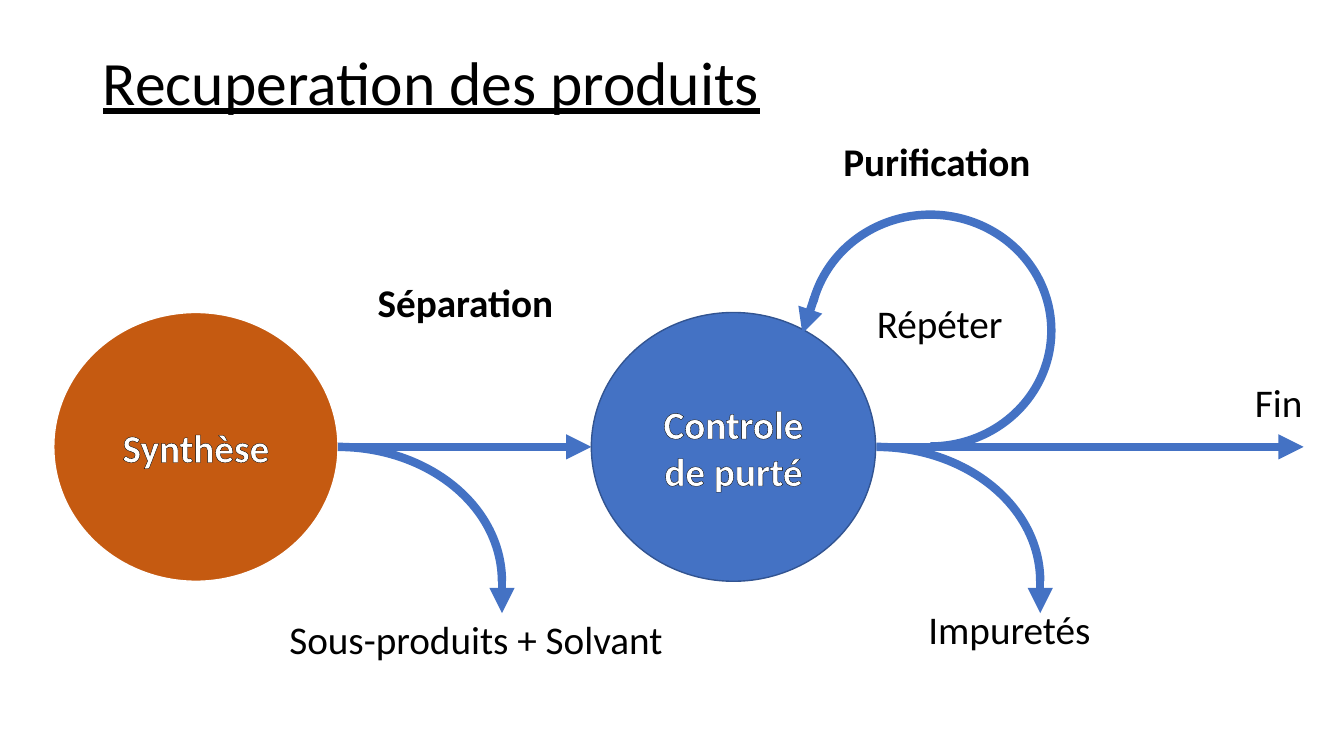
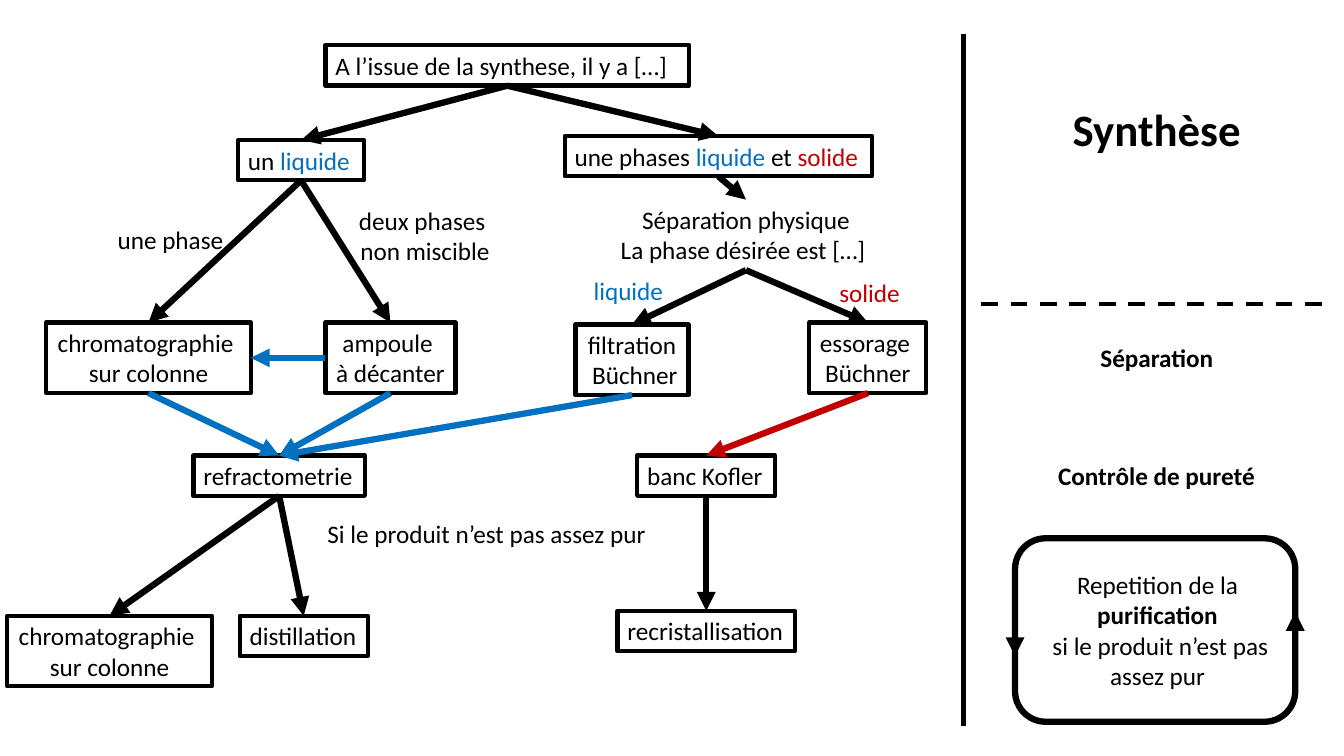
"""Build two slides on how the products of a synthesis are recovered."""
from dataclasses import dataclass

from lxml.etree import SubElement
from pptx import Presentation
from pptx.dml.color import RGBColor
from pptx.enum.dml import MSO_LINE
from pptx.enum.shapes import MSO_CONNECTOR, MSO_SHAPE
from pptx.enum.text import MSO_ANCHOR, MSO_AUTO_SIZE, PP_ALIGN
from pptx.oxml import parse_xml
from pptx.oxml.ns import nsdecls, qn
from pptx.util import Emu, Pt


@dataclass(frozen=True)
class Theme:
    font: str = "Calibri"
    black: str = "000000"
    white: str = "FFFFFF"
    blue: str = "4472C4"
    edge: str = "325491"
    rust: str = "C55A11"
    fluid: str = "0070C0"
    solid: str = "C00000"
    title: int = 44
    head: int = 32
    label: int = 28
    body: int = 18
    flow: float = 6
    link: float = 4.5
    frame: float = 3


T = Theme()
COLS, ROWS = 40, 22.5
CELL = 304800
TOP, LEFT, BASE, RIGHT = range(4)


def grid(*cells):
    return [Emu(round(n * CELL)) for n in cells]


def paint(line, color, width):
    line.color.rgb = RGBColor.from_string(color)
    line.width = Pt(width)


def write(shape, lines, size=T.body, color=T.black, bold=False, under=None,
          align=None, wrap=False, trim=None, fit=True):
    frame = shape.text_frame
    frame.word_wrap = wrap
    frame.auto_size = MSO_AUTO_SIZE.SHAPE_TO_FIT_TEXT if fit else MSO_AUTO_SIZE.NONE
    for i, line in enumerate(lines):
        para = frame.add_paragraph() if i else frame.paragraphs[0]
        para.alignment = align or (PP_ALIGN.CENTER if len(lines) > 1 else PP_ALIGN.LEFT)
        for part in [line] if isinstance(line, str) else line:
            words, style = (part, {}) if isinstance(part, str) else part
            run = para.add_run()
            run.text = words
            font = run.font
            font.name, font.size, font.underline = T.font, Pt(size), under
            font.bold = style.get("bold", bold)
            font.color.rgb = RGBColor.from_string(style.get("color", color))
            if trim:
                font._element.insert(0, parse_xml(
                    f'<a:ln w="9525" {nsdecls("a")}><a:solidFill>'
                    f'<a:srgbClr val="{trim}"/></a:solidFill></a:ln>'))


def label(slide, mid, top, width, *lines, rows=None, **style):
    size = style.get("size", T.body)
    high = 0.3 + 0.05 * size * (rows or len(lines))
    box = slide.shapes.add_textbox(*grid(mid - width / 2, top, width, high))
    write(box, lines, **style)
    return box


def node(slide, *args):
    box = label(slide, *args)
    paint(box.line, T.black, T.frame)
    return box


def form(slide, kind, area, line, width, fill=None):
    shape = slide.shapes.add_shape(kind, *grid(*area))
    shape.shadow.inherit = False
    if fill:
        shape.fill.solid()
        shape.fill.fore_color.rgb = RGBColor.from_string(fill)
    else:
        shape.fill.background()
    paint(shape.line, line, width)
    return shape


def rule(slide, ends, color=T.black, width=T.link, head=True, dash=None):
    line = slide.shapes.add_connector(MSO_CONNECTOR.STRAIGHT, *grid(*ends))
    SubElement(line._element.spPr, qn("a:effectLst"))
    paint(line.line, color, width)
    if dash:
        line.line.dash_style = dash
    if head:
        SubElement(line.line._get_or_add_ln(), qn("a:tailEnd"), type="triangle")
    return line


def link(slide, start, end, color=T.black, sides=(BASE, TOP)):
    line = rule(slide, (0, 0, 1, 1), color)
    line.begin_connect(start, sides[0])
    line.end_connect(end, sides[1])


def disc(slide, left, words, fill, edge):
    shape = form(slide, MSO_SHAPE.OVAL, (left, 9.3, 8.46, 8), edge, 1, fill)
    write(shape, [words], size=T.label, color=T.white, bold=True,
          align=PP_ALIGN.CENTER, wrap=True, trim=T.black, fit=False)
    shape.text_frame.vertical_anchor = MSO_ANCHOR.MIDDLE


def branch(slide, left, end, axis):
    start, drop = left + 4.88, left + 9.75
    form(slide, MSO_SHAPE.ARC, (left, axis, 9.75, 8), T.blue, T.flow)
    rule(slide, (start, axis, end, axis), T.blue, T.flow)
    rule(slide, (drop, axis + 3.75, drop, axis + 4.95), T.blue, T.flow)


def cycle(deck):
    slide = deck.slides.add_slide(deck.slide_layouts[5])
    title = slide.shapes.title
    title.left, title.top, title.width, title.height = grid(2.76, 1.2, 34.5, 2.67)
    write(title, ["Recuperation des produits"], size=T.title, under=True,
          wrap=True, fit=False)
    title.text_frame.vertical_anchor = MSO_ANCHOR.MIDDLE
    title.text_frame.paragraphs[0].line_spacing = 0.9

    disc(slide, 1.6, "Synthèse", T.rust, T.white)
    disc(slide, 17.6, "Controle de purté", T.blue, T.edge)
    for left, end in ((5.19, 17.6), (21.21, 38.8)):
        branch(slide, left, end, 13.3)
    loop = form(slide, MSO_SHAPE.ARC, (24.24, 6.24, 6.9, 7.2), T.blue, T.flow)
    loop.rotation = 90
    loop.adjustments[0] = 62.47
    rule(slide, (24.24, 8.85, 23.88, 9.93), T.blue, T.flow)

    for mid, top, width, words, bold in (
        (14.24, 18.15, 11.85, "Sous-produits + Solvant", False),
        (30.08, 17.88, 5.49, "Impuretés", False),
        (38.07, 11.1, 2.04, "Fin", False),
        (27.99, 8.76, 4.38, "Répéter", False),
        (13.9, 8.13, 5.91, "Séparation", True),
        (27.94, 3.93, 6.27, "Purification", True),
    ):
        label(slide, mid, top, width, words, size=T.label, bold=bold)


def tree(slide):
    fluid = ("liquide", {"color": T.fluid})
    solid = ("solide", {"color": T.solid})
    column = ("chromatographie ", "sur colonne")
    start = node(slide, 15.1, 1.35, 10.83, "A l’issue de la synthese, il y a […] ")
    wet = node(slide, 8.96, 4.17, 3.75, ["un ", fluid])
    mixed = node(slide, 21.38, 4.05, 9.15, ["une phases ", fluid, " et ", solid])
    split = label(slide, 22.2, 5.94, 8.16, "Séparation physique",
                  "La phase désirée est […] ")
    chroma = node(slide, 4.42, 9.6, 6.09, *column)
    funnel = node(slide, 11.62, 9.6, 3.87, "ampoule ", "à décanter")
    filter_ = node(slide, 18.81, 9.66, 3.36, "filtration", " Büchner")
    drain = node(slide, 25.83, 9.6, 3.48, "essorage ", "Büchner")
    index = node(slide, 8.31, 13.56, 5.1, "refractometrie")
    bench = node(slide, 21.02, 13.56, 4.11, "banc Kofler")
    again = node(slide, 3.26, 18.33, 6.09, *column)
    distil = node(slide, 9.04, 18.33, 3.81, "distillation")
    crystal = node(slide, 21.02, 18.18, 5.28, "recristallisation")

    for source, goals, color in (
        (start, (wet, mixed), T.black),
        (wet, (chroma, funnel), T.black),
        (mixed, (split,), T.black),
        (split, (filter_, drain), T.black),
        (index, (again, distil), T.black),
        (bench, (crystal,), T.black),
        (drain, (bench,), T.solid),
        (filter_, (index,), T.fluid),
        (funnel, (index,), T.fluid),
        (chroma, (index,), T.fluid),
    ):
        for goal in goals:
            link(slide, source, goal, color)
    link(slide, funnel, chroma, T.fluid, (LEFT, RIGHT))

    label(slide, 5.14, 6.54, 3.87, "une phase")
    label(slide, 12.65, 5.97, 4.59, "deux phases ", "non miscible")
    label(slide, 18.72, 8.04, 2.7, [fluid])
    label(slide, 25.9, 8.1, 2.43, [solid])
    label(slide, 14.73, 15.27, 10.56, "Si le produit n’est pas assez pur")


def stages(slide):
    mid = 34.45
    rule(slide, (28.68, 1, 28.68, 21.6), width=3.5, head=False)
    rule(slide, (29.2, 9.06, 39.36, 9.06), width=T.frame, head=False,
         dash=MSO_LINE.DASH)
    label(slide, mid, 2.88, 5.64, "Synthèse", size=T.head, bold=True)
    label(slide, mid, 10.05, 3.99, "Séparation", bold=True)
    label(slide, mid, 13.56, 6.51, "Contrôle de pureté", bold=True)

    left, top, width, high = 30.21, 16.02, 8.34, 5.46
    form(slide, MSO_SHAPE.ROUNDED_RECTANGLE, (left, top, width, high), T.black, T.link)
    rule(slide, (left, 18, left, 19.53))
    rule(slide, (left + width, 20.25, left + width, 18.21))
    label(slide, mid, 16.8, 7.35,
          ["Repetition de la ", ("purification", {"bold": True})],
          " si le produit n’est pas assez pur", rows=4, wrap=True)


def main():
    deck = Presentation()
    deck.slide_width, deck.slide_height = grid(COLS, ROWS)
    cycle(deck)
    slide = deck.slides.add_slide(deck.slide_layouts[6])
    tree(slide)
    stages(slide)
    deck.save("out.pptx")


main()
